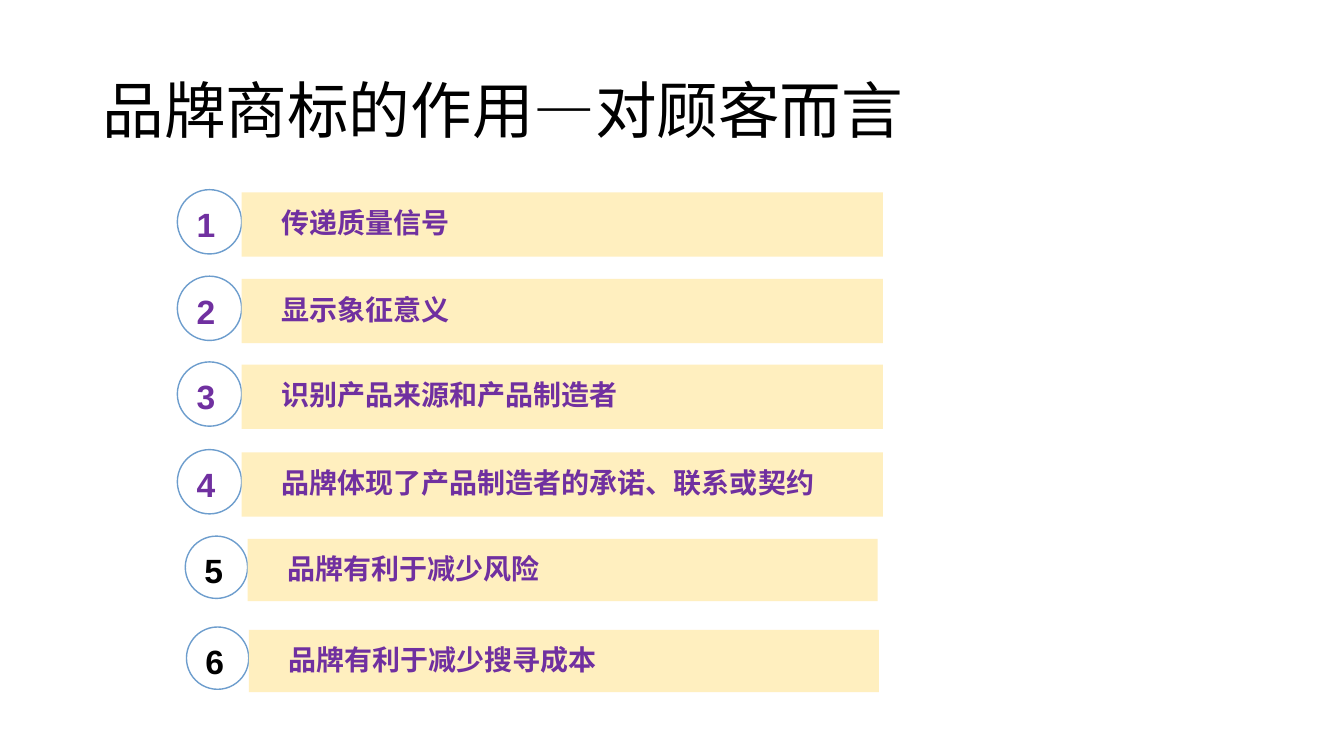
from lxml import etree
from pptx import Presentation
from pptx.dml.color import RGBColor
from pptx.enum.shapes import MSO_SHAPE
from pptx.enum.text import MSO_ANCHOR, MSO_AUTO_SIZE, PP_ALIGN
from pptx.oxml.ns import qn
from pptx.util import Cm, Pt

OVAL, RECT = MSO_SHAPE.OVAL, MSO_SHAPE.RECTANGLE
TOP, MIDDLE = MSO_ANCHOR.TOP, MSO_ANCHOR.MIDDLE
LEFT, NO_FIT = PP_ALIGN.LEFT, MSO_AUTO_SIZE.NONE

WHITE = RGBColor(0xFF, 0xFF, 0xFF)
BLACK = RGBColor(0, 0, 0)
PURPLE = RGBColor(0x70, 0x30, 0xA0)
CREAM = RGBColor(0xFF, 0xEF, 0xBF)
BLUE = RGBColor(0x6D, 0x9D, 0xCD)
SANS, ARIAL = "Noto Sans CJK SC", "Arial"

HEAD = {"name": SANS, "size": Pt(44), "bold": False}
BADGE = {"name": ARIAL, "size": Pt(24), "bold": True}
LABEL = {"name": SANS, "size": Pt(20), "bold": True}
PAD = {"margin_left": Cm(1), "margin_right": Cm(0.15),
       "margin_top": Cm(0.15), "margin_bottom": Cm(0.15)}

ROWS = [
    ("传递质量信号", 4.47, 4.78, 17.78, 1.62, PURPLE),
    ("显示象征意义", 4.47, 6.96, 17.78, 1.62, PURPLE),
    ("识别产品来源和产品制造者", 4.47, 9.12, 17.78, 1.62, PURPLE),
    ("品牌体现了产品制造者的承诺、联系或契约", 4.47, 11.33, 17.78, 1.62, PURPLE),
    ("品牌有利于减少风险", 4.67, 13.51, 17.45, 1.57, BLACK),
    ("品牌有利于减少搜寻成本", 4.7, 15.8, 17.45, 1.57, BLACK),
]


def apply(item, values):
    for key, value in values.items():
        setattr(item, key, value)


def write(shape, text, style, color, anchor, pitch=1.0, pad=None):
    frame = shape.text_frame
    apply(frame, {"word_wrap": True, "auto_size": NO_FIT,
                  "vertical_anchor": anchor, **(pad or {})})
    para = frame.paragraphs[0]
    apply(para, {"alignment": LEFT, "line_spacing": pitch})
    run = para.add_run()
    run.text = text
    apply(run.font, style)
    run.font.color.rgb = color
    east = etree.SubElement(run.font._element, qn("a:ea"))
    east.set("typeface", style["name"])


def draw(slide, kind, box, fill, line=None):
    shape = slide.shapes.add_shape(kind, *map(Cm, box))
    shape.shadow.inherit = False
    shape.fill.solid()
    shape.fill.fore_color.rgb = fill
    if line is None:
        shape.line.fill.background()
    else:
        shape.line.color.rgb = line
        shape.line.width = Pt(1)
    return shape


def add_title(slide, text, box):
    title = slide.shapes.title
    apply(title, dict(zip(("left", "top", "width", "height"), map(Cm, box))))
    write(title, text, HEAD, BLACK, MIDDLE, 0.9)


def add_row(slide, number, text, color, box):
    left, top, width, size = box
    badge = draw(slide, OVAL, (left, top, size, size), WHITE, BLUE)
    write(badge, str(number), BADGE, color, TOP)
    bar = draw(slide, RECT, (left + size, top + 0.07, width - size, size), CREAM)
    write(bar, text, LABEL, PURPLE, MIDDLE, 0.9, PAD)


def main():
    deck = Presentation()
    deck.slide_width, deck.slide_height = Cm(33.87), Cm(19.05)
    slide = deck.slides.add_slide(deck.slide_layouts[5])
    add_title(slide, "品牌商标的作用—对顾客而言", (2.33, 1.01, 29.21, 3.68))
    for number, (text, *box, color) in enumerate(ROWS, 1):
        add_row(slide, number, text, color, box)
    deck.save("out.pptx")


main()
